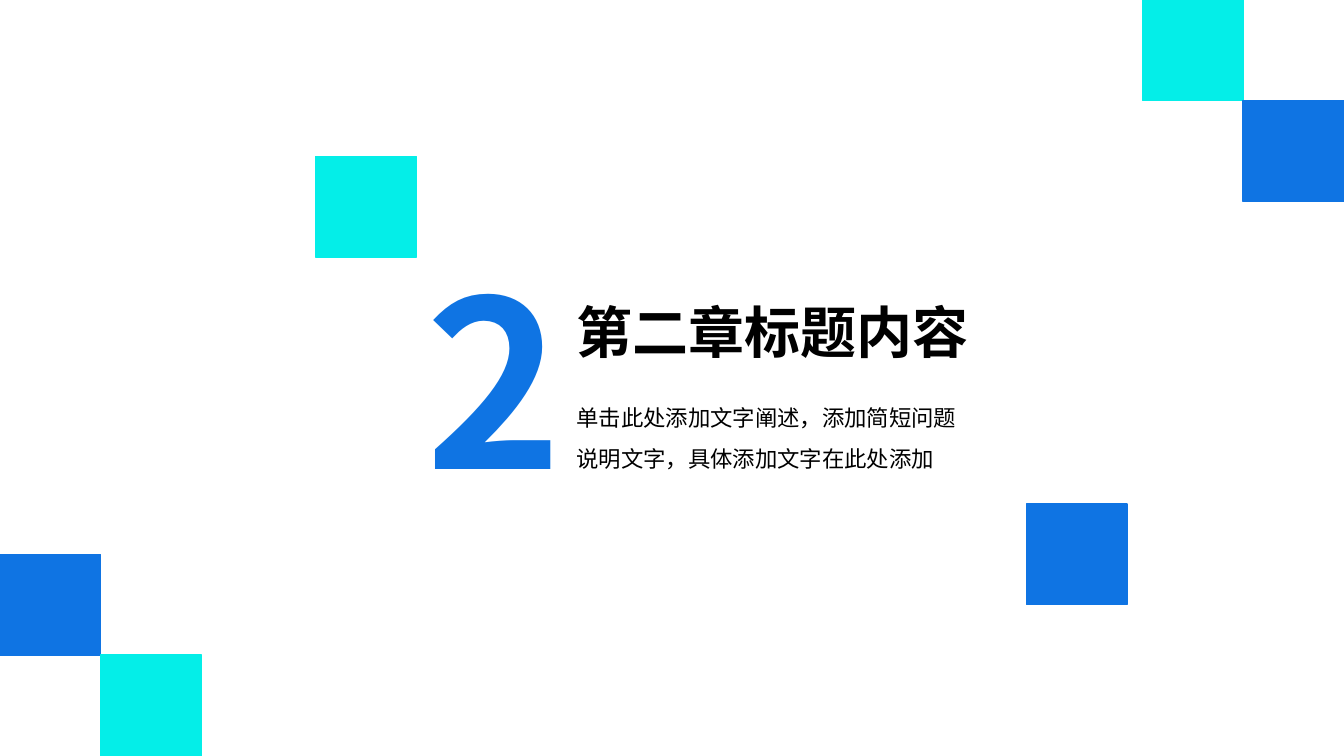
"""Build a chapter title slide with corner squares on a one-inch grid."""
from dataclasses import dataclass

from lxml import etree
from pptx import Presentation
from pptx.dml.color import RGBColor
from pptx.enum.shapes import MSO_SHAPE
from pptx.enum.text import MSO_AUTO_SIZE
from pptx.oxml.ns import qn
from pptx.slide import Slide
from pptx.util import Inches, Pt

RECT = MSO_SHAPE.RECTANGLE
GROW = MSO_AUTO_SIZE.SHAPE_TO_FIT_TEXT
FACE = "Noto Sans CJK SC"
BLUE, CYAN, BLACK = "0F74E3", "04EEE8", "000000"
WIDE, HIGH = 13.33, 7.5
CELL = 1
LAST_COL, LAST_ROW = WIDE / CELL - 1, HIGH / CELL - 1
TEXT_COL = 5.62


@dataclass(frozen=True)
class Square:
    col: float
    row: float
    hue: str


@dataclass(frozen=True)
class Label:
    col: float
    row: float
    cols: float
    rows: float
    lines: tuple[str, ...]
    size: int
    hue: str = BLACK
    bold: bool = False
    wrap: bool = True
    space: float = 1.0


LABELS = (
    Label(4.12, 2.3, 1.57, 2.89, ("2",), 166, BLUE, bold=True, wrap=False),
    Label(TEXT_COL, 2.9, 4.23, 0.77, ("第二章标题内容",), 40, bold=True),
    Label(TEXT_COL, 3.83, 4.1, 0.91,
          ("单击此处添加文字阐述，添加简短问题", "说明文字，具体添加文字在此处添加"),
          16, space=1.5),
)
SQUARES = (
    Square(0, LAST_ROW - 1, BLUE),
    Square(1, LAST_ROW, CYAN),
    Square(LAST_COL - 1, 0, CYAN),
    Square(LAST_COL, 1, BLUE),
    Square(10.18, 5, BLUE),
    Square(3.13, 1.55, CYAN),
)


def paint(hue: str) -> RGBColor:
    return RGBColor.from_string(hue)


def span(count: float) -> int:
    return Inches(round(count * CELL, 2))


def draw_square(slide: Slide, item: Square) -> None:
    shape = slide.shapes.add_shape(
        RECT, span(item.col), span(item.row), span(1), span(1))
    shape.shadow.inherit = False
    shape.fill.solid()
    shape.fill.fore_color.rgb = paint(item.hue)
    shape.line.color.rgb = paint(item.hue)
    shape.line.width = Pt(1)


def draw_label(slide: Slide, item: Label) -> None:
    box = slide.shapes.add_textbox(
        span(item.col), span(item.row), span(item.cols), span(item.rows))
    frame = box.text_frame
    frame.word_wrap = item.wrap
    frame.auto_size = GROW
    style = {"name": FACE, "size": Pt(item.size), "bold": item.bold}
    for index, line in enumerate(item.lines):
        para = frame.add_paragraph() if index else frame.paragraphs[0]
        para.line_spacing = item.space
        run = para.add_run()
        run.text = line
        for key, value in style.items():
            setattr(run.font, key, value)
        run.font.color.rgb = paint(item.hue)
        props = run._r.get_or_add_rPr()
        etree.SubElement(props, qn("a:ea"), typeface=FACE)


def main() -> None:
    deck = Presentation()
    deck.slide_width, deck.slide_height = Inches(WIDE), Inches(HIGH)
    slide = deck.slides.add_slide(deck.slide_layouts[6])
    for label in LABELS:
        draw_label(slide, label)
    for square in SQUARES:
        draw_square(slide, square)
    deck.save("out.pptx")


if __name__ == "__main__":
    main()
